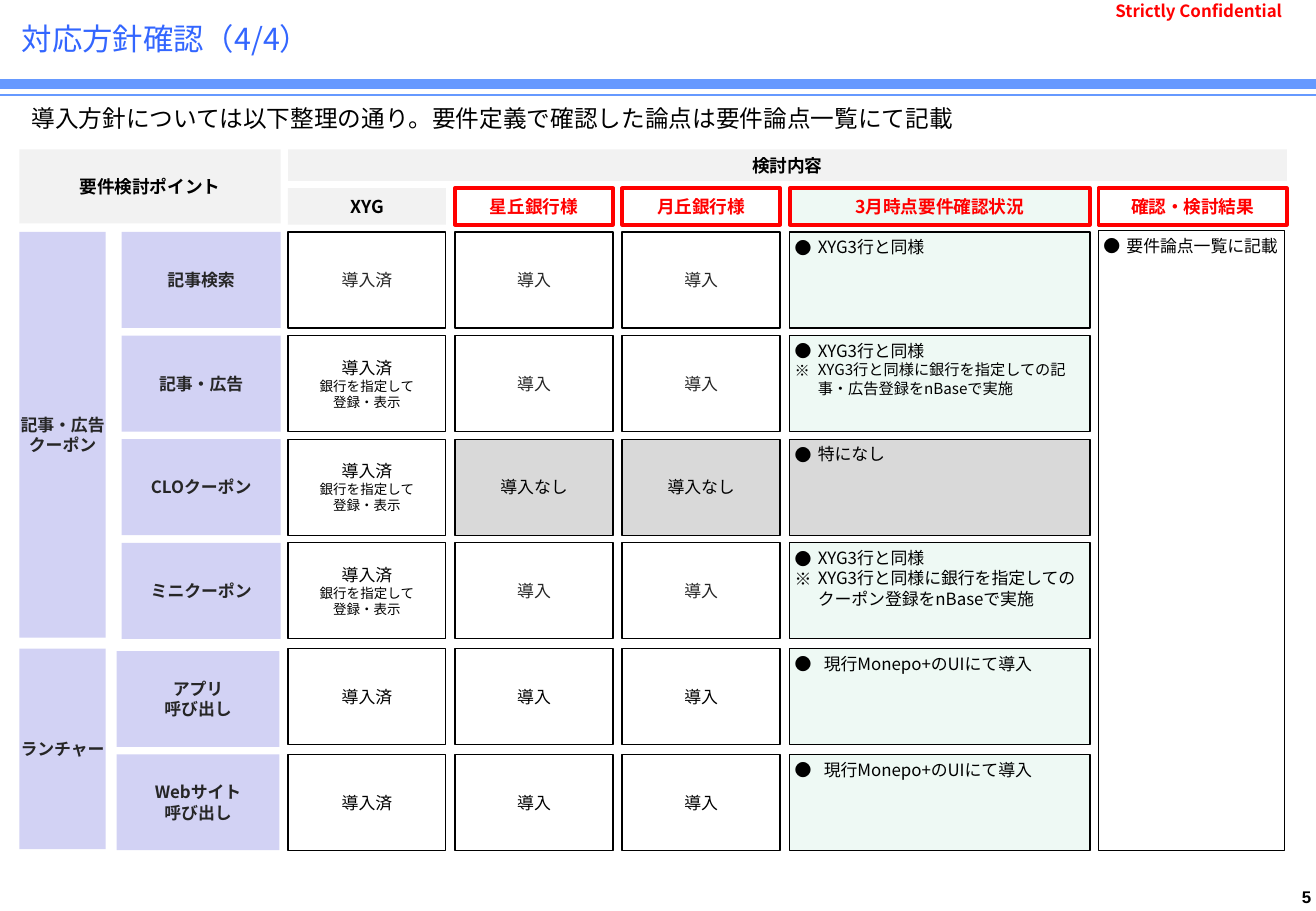
from dataclasses import dataclass

from lxml import etree
from pptx import Presentation
from pptx import util as u
from pptx.dml.color import RGBColor
from pptx.enum import lang, shapes, text
from pptx.oxml.ns import qn


@dataclass(frozen=True)
class Theme:
    font: str = "Noto Sans CJK JP"
    number_font: str = "Arial"
    black: str = "000000"
    soft: str = "262626"
    red: str = "FF0000"
    title: str = "3366FF"
    rule: str = "6699FF"
    white: str = "FFFFFF"
    header: str = "F2F2F2"
    label: str = "D2D2F4"
    mint: str = "EEF9F4"
    grey: str = "D9D9D9"
    title_size: float = 18
    lead_size: float = 14
    header_size: float = 10.5
    body_size: float = 10
    note_size: float = 9
    small_size: float = 8


T = Theme()
CENTER = text.PP_ALIGN.CENTER
MIDDLE, TOP = text.MSO_ANCHOR.MIDDLE, text.MSO_ANCHOR.TOP
CELL_INSETS = (0.04, 0.04)
# Left and width of the three bank columns and the status column
BANK_COLUMNS = [(2.37 + 1.375 * i, 1.3) for i in range(3)]
STATUS_COLUMN = (6.5, 2.47)
CELL_HEIGHT = 0.79


def add_bullet(p, mark, indent):
    pPr = p._p.get_or_add_pPr()
    pPr.set("marL", str(u.Inches(indent)))
    pPr.set("indent", str(-u.Inches(indent)))
    color = etree.SubElement(pPr, qn("a:buClr"))
    etree.SubElement(color, qn("a:srgbClr"), val=T.black)
    etree.SubElement(pPr, qn("a:buFont"), typeface=T.font)
    etree.SubElement(pPr, qn("a:buChar"), char=mark)


def write(tf, lines, size=T.body_size, color=T.black, bold=False, font=T.font,
          align=None, anchor=MIDDLE, insets=CELL_INSETS, wrap=True, indent=0.19):
    """Each line is a string or a (string, size, bullet) tuple; \\v breaks a line."""
    tf.word_wrap = wrap
    tf.vertical_anchor = anchor
    tf.margin_left = tf.margin_right = u.Inches(insets[0])
    tf.margin_top = tf.margin_bottom = u.Inches(insets[1])
    for i, line in enumerate([lines] if isinstance(lines, str) else lines):
        words, line_size, mark = (line, size, None) if isinstance(line, str) else line
        p = tf.add_paragraph() if i else tf.paragraphs[0]
        p.alignment = align or text.PP_ALIGN.LEFT
        if mark:
            add_bullet(p, mark, indent)
        p.text = words
        for r in p.runs:
            r.font.size = u.Pt(line_size)
            r.font.bold = bold
            r.font.color.rgb = RGBColor.from_string(color)
            r.font.name = font
            r.font.language_id = lang.MSO_LANGUAGE_ID.JAPANESE
            etree.SubElement(r._r.get_or_add_rPr(), qn("a:ea"), typeface=font)
        for br in p._p.findall(qn("a:br")):
            etree.SubElement(br, qn("a:rPr"), sz=str(int(line_size * 100)))


def add_text(s, box, lines, **fmt):
    write(s.shapes.add_textbox(*map(u.Inches, box)).text_frame, lines, **fmt)


def add_box(s, box, lines, fill=None, line=None, weight=0.75, **fmt):
    sp = s.shapes.add_shape(shapes.MSO_SHAPE.RECTANGLE, *map(u.Inches, box))
    sp.shadow.inherit = False
    if fill:
        sp.fill.solid()
        sp.fill.fore_color.rgb = RGBColor.from_string(fill)
    else:
        sp.fill.background()
    if line:
        sp.line.color.rgb = RGBColor.from_string(line)
        sp.line.width = u.Pt(weight)
    else:
        sp.line.fill.background()
    write(sp.text_frame, lines, **fmt)


def add_rule(s, left, top, width, weight):
    line = s.shapes.add_connector(
        shapes.MSO_CONNECTOR.STRAIGHT,
        *map(u.Inches, (left, top, left + width, top)))
    line.line.color.rgb = RGBColor.from_string(T.rule)
    line.line.width = u.Pt(weight)
    etree.SubElement(line._element.spPr, qn("a:effectLst"))


def draw_frame(s, left, top, width, height):
    """Title, rules, lead sentence, confidentiality mark and page number."""
    add_rule(s, left, top + 0.69, width, 6)
    add_rule(s, left, top + 0.78, width, 1)
    add_text(s, (left + width - 0.32, top + height - 0.24, 0.32, 0.25), "5",
             bold=True, font=T.number_font, align=text.PP_ALIGN.RIGHT,
             anchor=TOP, wrap=False)
    add_text(s, (left + 9.1, top + 0.04, 1.76, 0.1), "Strictly Confidential",
             color=T.red, bold=True, insets=(0.08, 0.04))
    add_text(s, (left + 0.08, top + 0.06, 10.38, 0.51), "対応方針確認（4/4）",
             size=T.title_size, color=T.title, insets=(0.1, 0.05))
    add_text(s, (left + 0.16, top + 0.81, 9.55, 0.37),
             "導入方針については以下整理の通り。要件定義で確認した論点は要件論点一覧にて記載",
             size=T.lead_size, anchor=TOP, insets=(0.1, 0.05))


def draw_headers(s, left, top, width, height):
    fmt = dict(size=T.header_size, bold=True, align=CENTER)
    add_box(s, (left, top, 2.15, height), "要件検討ポイント", fill=T.header, **fmt)
    first = BANK_COLUMNS[0][0]
    add_box(s, (first, top, left + width - first, 0.26), "検討内容",
            fill=T.header, **fmt)
    row_top, row_height = top + 0.32, 0.3
    add_box(s, (first, row_top, BANK_COLUMNS[0][1], row_height), "XYG",
            fill=T.header, **fmt)
    for (x, w), name, fill in (
            (BANK_COLUMNS[1], "星丘銀行様", T.white),
            (BANK_COLUMNS[2], "月丘銀行様", T.white),
            (STATUS_COLUMN, "3月時点要件確認状況", T.mint),
            ((9.04, 1.55), "確認・検討結果", T.white)):
        add_box(s, (x, row_top, w, row_height), name, fill=fill, line=T.red,
                weight=2.25, color=T.red, **fmt)


def draw_section(s, box, group, rows, pitch, labels, ink, indent):
    """labels gives left, top, width and pitch of the row names."""
    top = box[1]
    fmt = dict(fill=T.label, color=T.soft, bold=True, align=CENTER, wrap=False)
    add_box(s, box, group, **fmt)
    x, y, w, label_pitch = labels
    for i, (name, banks, status) in enumerate(rows):
        add_box(s, (x, y + i * label_pitch, w, CELL_HEIGHT), name, **fmt)
        row_top = top + i * pitch
        excluded = NOT_ADOPTED in banks
        for (cell_x, cell_w), answer in zip(BANK_COLUMNS, banks):
            plain = answer in (DONE, ADOPT)
            add_box(s, (cell_x, row_top, cell_w, CELL_HEIGHT), answer,
                    fill=T.grey if answer == NOT_ADOPTED else None, line=T.black,
                    color=ink if plain else T.black, align=CENTER)
        add_box(s, (STATUS_COLUMN[0], row_top, STATUS_COLUMN[1], CELL_HEIGHT),
                status, fill=T.grey if excluded else T.mint, line=T.black,
                anchor=TOP, indent=indent)


def item(words):
    return words, T.body_size, "●"


def note(words, size=T.body_size):
    return words, size, "※"


DONE, ADOPT, NOT_ADOPTED = "導入済", "導入", "導入なし"
DONE_BY_BANK = [DONE, ("銀行を指定して\v登録・表示", T.small_size, None)]
SAME = item("XYG3行と同様")
LAUNCH = item("現行Monepo+のUIにて導入")
COUPON_ROWS = [
    ("記事検索", (DONE, ADOPT, ADOPT), [SAME]),
    ("記事・広告", (DONE_BY_BANK, ADOPT, ADOPT),
     [SAME, note("XYG3行と同様に銀行を指定しての記事・広告登録をnBaseで実施", T.note_size)]),
    ("CLOクーポン", (DONE_BY_BANK, NOT_ADOPTED, NOT_ADOPTED), [item("特になし")]),
    ("ミニクーポン", (DONE_BY_BANK, ADOPT, ADOPT),
     [SAME, note("XYG3行と同様に銀行を指定してのクーポン登録をnBaseで実施")]),
]
LAUNCHER_ROWS = [
    (["アプリ", "呼び出し"], (DONE, ADOPT, ADOPT), [LAUNCH]),
    (["Webサイト", "呼び出し"], (DONE, ADOPT, ADOPT), [LAUNCH]),
]


def main():
    prs = Presentation()
    prs.slide_width, prs.slide_height = u.Inches(10.83), u.Inches(7.5)
    s = prs.slides.add_slide(prs.slide_layouts[6])
    draw_frame(s, 0, 0, 10.83, 7.5)
    draw_section(s, (0.16, 1.91, 0.71, 3.34), ["記事・広告", "クーポン"], COUPON_ROWS,
                 0.853, (1, 1.91, 1.31, 0.853), T.soft, 0.19)
    draw_section(s, (0.16, 5.34, 0.71, 1.65), "ランチャー", LAUNCHER_ROWS,
                 0.87, (0.96, 5.36, 1.34, 0.85), T.black, 0.24)
    draw_headers(s, 0.16, 1.23, 10.43, 0.61)
    add_box(s, (9.04, 1.9, 1.53, 5.1), [item("要件論点一覧に記載")],
            line=T.black, anchor=TOP)
    prs.save("out.pptx")


if __name__ == "__main__":
    main()
